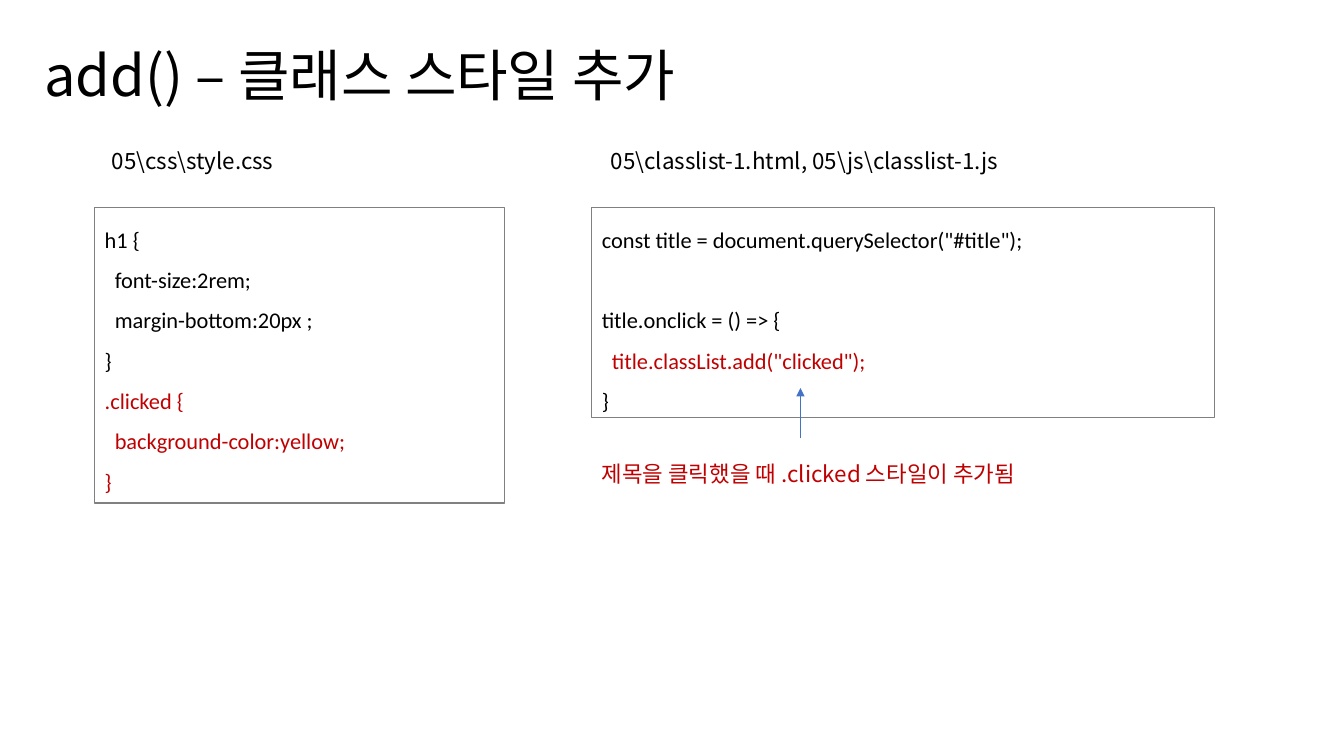
from copy import deepcopy
from dataclasses import dataclass

from lxml.etree import SubElement
from pptx import Presentation
from pptx.dml.color import RGBColor
from pptx.enum.shapes import MSO_CONNECTOR, MSO_SHAPE
from pptx.enum.text import MSO_ANCHOR, MSO_AUTO_SIZE, PP_ALIGN
from pptx.oxml.ns import qn
from pptx.util import Inches, Pt


@dataclass(frozen=True)
class Theme:
    ink: str = "000000"
    accent: str = "C00000"
    border: str = "808080"
    arrow: str = "4472C4"
    text_font: str = "Noto Sans CJK KR"
    code_font: str = "Calibri"
    title_size: int = 40
    text_size: int = 16


THEME = Theme()
WIDTH, HEIGHT = Inches(13.33), Inches(7.5)

# Shares of the slide, in percent
CSS_LEFT, JS_LEFT = 7.05, 44.04
CODE_TOP = 27.47
LABEL_TOP, LABEL_WIDTH = 18.8, 37.13
LINE_HEIGHT = 4.93

CSS_CODE = [
    [("h1 {", THEME.ink)],
    [("  font-size:2rem;", THEME.ink)],
    [("  margin-bottom:20px ;", THEME.ink)],
    [("}", THEME.ink)],
    [(".clicked {", THEME.accent)],
    [("  background-color:yellow;", THEME.accent)],
    [("}", THEME.accent)],
]
JS_CODE = [
    [('const title = document.querySelector("#title");', THEME.ink)],
    [("\n", THEME.ink), ("title.onclick = () => {", THEME.ink)],
    [("  ", THEME.ink), ('title.classList.add("clicked");', THEME.accent)],
    [("}", THEME.ink)],
]


def place(left, top, width, height):
    """Turn percentages of the slide into lengths."""
    return [round(share * full / 100) for share, full in
            ((left, WIDTH), (top, HEIGHT), (width, WIDTH), (height, HEIGHT))]


def add_run(p, text, color, size, font):
    r = p.add_run()
    r.text = text
    r.font.size = Pt(size)
    r.font.name = font
    r.font.color.rgb = RGBColor.from_string(color)
    SubElement(r._r.get_or_add_rPr(), qn("a:ea"), typeface=font)
    return r


def add_break(p, color, size, font):
    """Add a line break that is as tall as the text around it."""
    r = add_run(p, "", color, size, font)
    p.add_line_break()
    p._p.findall(qn("a:br"))[-1].append(deepcopy(r._r.rPr))
    p._p.remove(r._r)


def set_frame(tf, wrap=True):
    tf.word_wrap = wrap
    tf.auto_size = MSO_AUTO_SIZE.SHAPE_TO_FIT_TEXT
    tf.vertical_anchor = MSO_ANCHOR.TOP


def add_title(s, box, text):
    title = s.shapes.title
    title.left, title.top, title.width, title.height = box
    set_frame(title.text_frame)
    p = title.text_frame.paragraphs[0]
    p.alignment = PP_ALIGN.LEFT
    add_run(p, text, THEME.ink, THEME.title_size, THEME.text_font)


def add_label(s, box, text, color=THEME.ink):
    tf = s.shapes.add_textbox(*box).text_frame
    set_frame(tf)
    add_run(tf.paragraphs[0], text, color, THEME.text_size, THEME.text_font)


def add_code(s, box, lines):
    sp = s.shapes.add_shape(MSO_SHAPE.RECTANGLE, *box)
    sp.shadow.inherit = False
    sp.fill.background()
    sp.line.color.rgb = RGBColor.from_string(THEME.border)
    sp.line.width = Pt(0.75)
    tf = sp.text_frame
    set_frame(tf)
    for i, line in enumerate(lines):
        p = tf.add_paragraph() if i else tf.paragraphs[0]
        p.alignment = PP_ALIGN.LEFT
        p.line_spacing = 1.5
        for text, color in line:
            style = color, THEME.text_size, THEME.code_font
            if text == "\n":
                add_break(p, *style)
            else:
                add_run(p, text, *style)


def add_up_arrow(s, x, bottom, top):
    x, y1, _, y2 = place(x, bottom, 0, top)
    arrow = s.shapes.add_connector(MSO_CONNECTOR.STRAIGHT, x, y1, x, y2)
    arrow.line.color.rgb = RGBColor.from_string(THEME.arrow)
    arrow.line.width = Pt(0.5)
    SubElement(arrow.line._get_or_add_ln(), qn("a:tailEnd"), type="triangle")
    SubElement(arrow._element.spPr, qn("a:effectLst"))


def main():
    prs = Presentation()
    prs.slide_width, prs.slide_height = WIDTH, HEIGHT
    s = prs.slides.add_slide(prs.slide_layouts[5])
    add_title(s, place(2.55, 4.67, 50.04, 10.27), "add() – 클래스 스타일 추가")
    add_label(s, place(7.58, LABEL_TOP, LABEL_WIDTH, LINE_HEIGHT), r"05\css\style.css")
    add_label(s, place(44.71, LABEL_TOP, LABEL_WIDTH, LINE_HEIGHT),
              r"05\classlist-1.html, 05\js\classlist-1.js")
    add_code(s, place(CSS_LEFT, CODE_TOP, 30.46, 39.07), CSS_CODE)
    add_code(s, place(JS_LEFT, CODE_TOP, 46.36, 27.73), JS_CODE)
    add_label(s, place(JS_LEFT, 60.27, 50.04, LINE_HEIGHT),
              "제목을 클릭했을 때 .clicked 스타일이 추가됨", THEME.accent)
    add_up_arrow(s, 59.56, 58, 51.33)
    prs.save("out.pptx")


if __name__ == "__main__":
    main()
